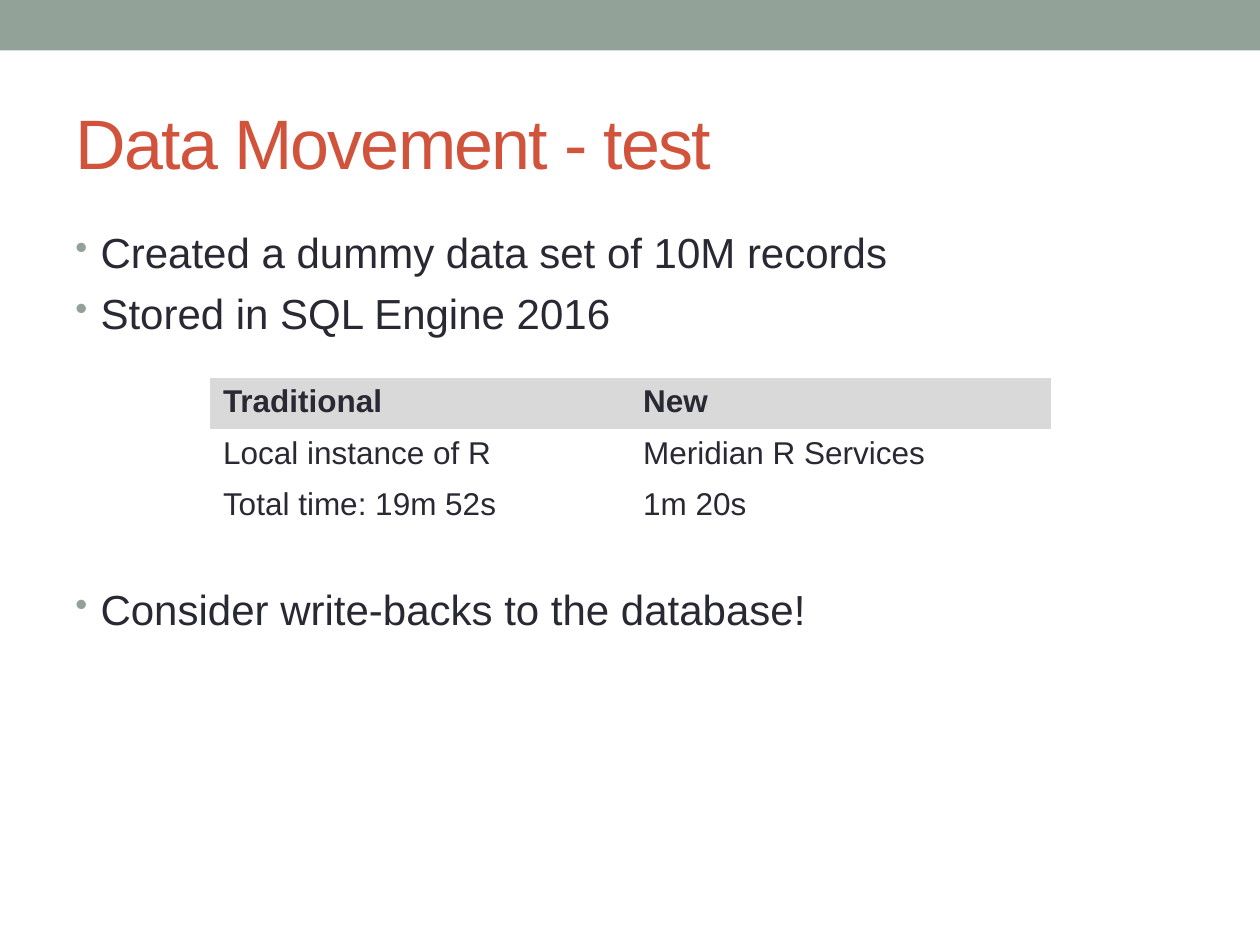
from lxml import etree
from pptx import Presentation
from pptx.dml.color import RGBColor
from pptx.enum.shapes import MSO_SHAPE
from pptx.enum.text import MSO_ANCHOR, PP_ALIGN
from pptx.oxml.ns import qn
from pptx.util import Inches, Pt

RECT = MSO_SHAPE.RECTANGLE
MIDDLE = MSO_ANCHOR.MIDDLE
LEFT = PP_ALIGN.LEFT

SAGE = RGBColor(0x93, 0xA2, 0x99)
RUST = RGBColor(0xD2, 0x53, 0x3C)
INK = RGBColor(0x29, 0x29, 0x34)
GREY = RGBColor(0xD9, 0xD9, 0xD9)
FONT = "Arial"
TITLE_ONLY = 5

# Text and space before, in points; the last bullet sits below the table
BULLETS = [
    ("Created a dummy data set of 10M records", 3),
    ("Stored in SQL Engine 2016", 6),
    ("Consider write-backs to the database!", 140.5),
]
TIMINGS = [
    ("Traditional", "New"),
    ("Local instance of R", "Meridian R Services"),
    ("Total time: 19m 52s", "1m 20s"),
]


class SlideBuilder:
    def __init__(self, prs):
        self.s = prs.slides.add_slide(prs.slide_layouts[TITLE_ONLY])

    def style(self, p, size, color=INK, bold=False):
        p.alignment = LEFT
        f = p.font
        f.name, f.size, f.bold = FONT, Pt(size), bold
        f.color.rgb = color

    def band(self, x, y, w, h, color):
        sp = self.s.shapes.add_shape(RECT, Inches(x), Inches(y), Inches(w), Inches(h))
        sp.shadow.inherit = False
        sp.fill.solid()
        sp.fill.fore_color.rgb = color
        sp.line.fill.background()

    def title(self, text, x, y, w, h):
        sp = self.s.shapes.title
        sp.left, sp.top, sp.width, sp.height = map(Inches, (x, y, w, h))
        tf = sp.text_frame
        tf.text = text
        tf.vertical_anchor = MIDDLE
        p = tf.paragraphs[0]
        self.style(p, 40, RUST)
        p.runs[0].font._element.set("spc", "-100")

    def bullets(self, items, x, y, w, h):
        sp = self.s.shapes.add_textbox(Inches(x), Inches(y), Inches(w), Inches(h))
        tf = sp.text_frame
        tf.word_wrap = True
        for i, (text, space) in enumerate(items):
            p = tf.add_paragraph() if i else tf.paragraphs[0]
            p.text = text
            p.space_before = Pt(space)
            self.style(p, 24)
            self.add_bullet(p)

    def add_bullet(self, p):
        pPr = p._p.get_or_add_pPr()
        pPr.set("marL", str(Inches(0.2)))
        pPr.set("indent", str(Inches(-0.2)))
        color = etree.Element(qn("a:buClr"))
        etree.SubElement(color, qn("a:srgbClr"), val=str(SAGE))
        size = etree.Element(qn("a:buSzPct"), val="85000")
        char = etree.Element(qn("a:buChar"), char="•")
        # Bullet settings must come before the default run properties
        for el in (color, size, char):
            pPr.find(qn("a:defRPr")).addprevious(el)

    def table(self, rows, x, y, w, h):
        frame = self.s.shapes.add_table(
            len(rows), len(rows[0]), Inches(x), Inches(y), Inches(w), Inches(h))
        for i, row in enumerate(rows):
            for j, text in enumerate(row):
                cell = frame.table.cell(i, j)
                cell.text = text
                header = i == 0
                if header:
                    cell.fill.solid()
                    cell.fill.fore_color.rgb = GREY
                else:
                    cell.fill.background()
                self.style(cell.text_frame.paragraphs[0], 18, bold=header)
        # "No Style, No Grid" keeps borders off
        style_id = frame.table._tbl.tblPr.find(qn("a:tableStyleId"))
        style_id.text = "{2D5ABB26-0587-4C30-8999-92F81FD0307C}"


def main():
    prs = Presentation()
    prs.slide_width, prs.slide_height = Inches(10), Inches(7.5)
    b = SlideBuilder(prs)
    b.band(0, 0, 10, 0.4, SAGE)
    b.title("Data Movement - test", 0.5, 0.58, 9, 1.08)
    b.bullets(BULLETS, 0.5, 1.75, 9, 5.33)
    b.table(TIMINGS, 1.67, 3, 6.67, 1.22)
    prs.save("out.pptx")


if __name__ == "__main__":
    main()
